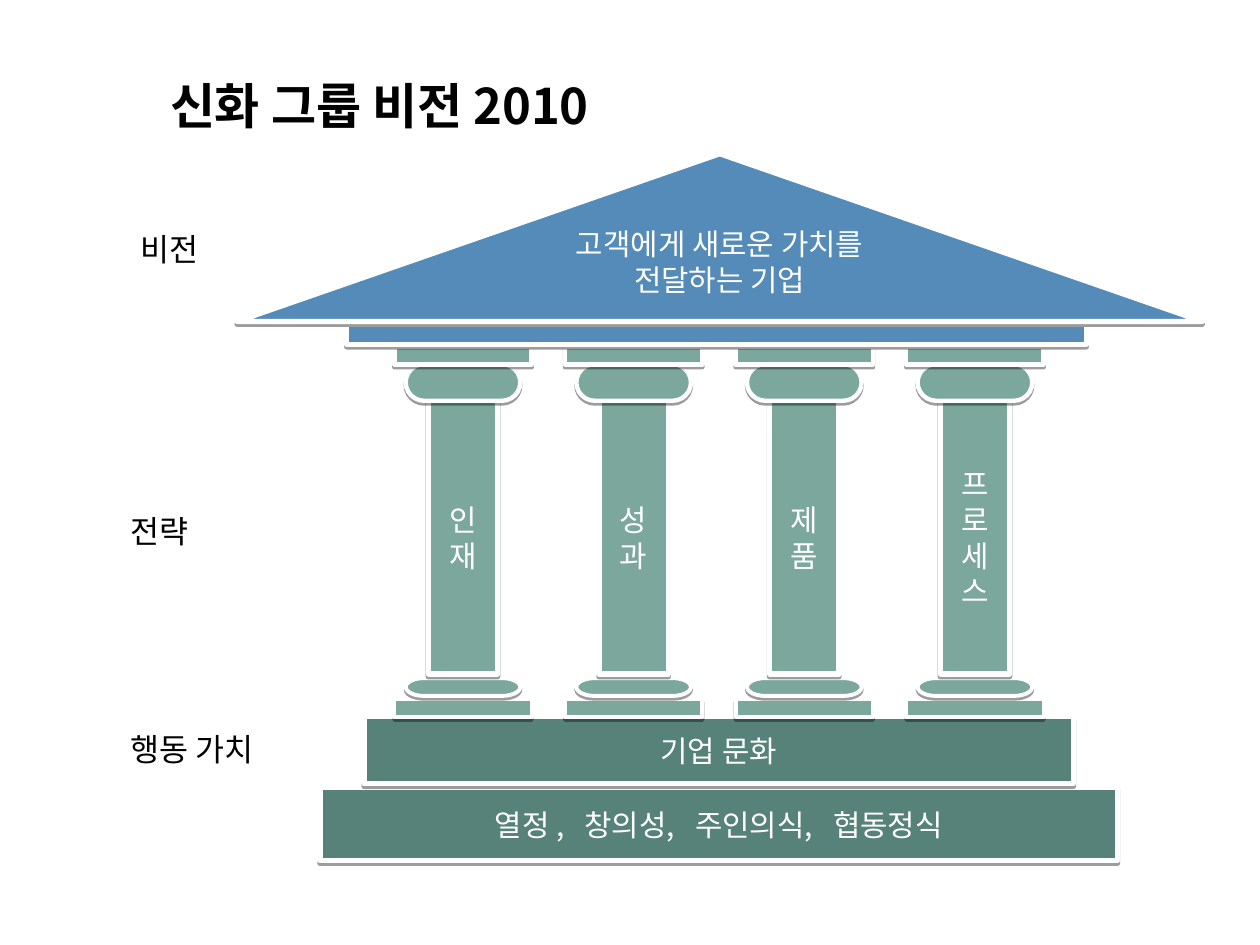
import lxml.etree
import pptx
import pptx.dml.color
import pptx.enum.shapes
import pptx.enum.text
import pptx.oxml.ns
import pptx.util

Cm = pptx.util.Cm
Pt = pptx.util.Pt
qn = pptx.oxml.ns.qn
FORM = pptx.enum.shapes.MSO_SHAPE
ALIGN = pptx.enum.text.PP_ALIGN
ANCHOR = pptx.enum.text.MSO_ANCHOR

THEME = {
    "font": "Noto Sans CJK KR",
    "roof": "558BB8",
    "pillar": "7BA79D",
    "base": "578279",
    "light": "FFFFFF",
    "dark": "000000",
    "title_size": 28,
    "label_size": 18,
    "body_size": 17,
    "shadow_alpha": 38,
    "shadow_drop": 1.6,
    "wide_gap": 7.6,
}

TITLE = ("신화 그룹 비전 2010", (0.6, 1.4, 14.1, 1.45))
LABELS = [
    ("비전", (2.59, 4.52, 6.15, 1.02)),
    ("전략", (2.39, 10.19, 6.15, 1.02)),
    ("행동 가치", (2.39, 14.6, 6.15, 1.02)),
]
VISION = ["고객에게 새로운 가치를", "전달하는 기업"]
STRATEGIES = ["인재", "성과", "제품", "프로세스"]
CULTURE = "기업 문화"
VALUES = ["열정 ,", "창의성,", "주인의식,", "협동정식"]

VALUES_BOX = (6.45, 15.88, 16.08, 1.47)
CULTURE_BOX = (7.34, 14.45, 14.3, 1.35)
BEAM_BOX = (6.99, 6.53, 14.91, 0.41)
ROOF_BOX = (4.78, 3.1, 19.46, 3.38)

PILLAR_LEFT = 7.95
PILLAR_PITCH = 3.44
PILLAR_WIDTH = 2.77
PILLAR_PARTS = [
    (FORM.RECTANGLE, 14.1, 2.77, 0.36, 2.25, False),
    (FORM.FLOWCHART_TERMINATOR, 13.67, 2.31, 0.36, 2.25, False),
    (FORM.RECTANGLE, 8.08, 1.4, 5.51, 3, True),
    (FORM.FLOWCHART_TERMINATOR, 7.34, 2.31, 0.74, 2.5, False),
    (FORM.RECTANGLE, 6.99, 2.77, 0.36, 2.5, False),
]


def color(name):
    return pptx.dml.color.RGBColor.from_string(THEME[name])


def add_run(paragraph, text, size, ink, bold=False, spacing=0):
    run = paragraph.add_run()
    run.text = text
    run.font.name = THEME["font"]
    run.font.size = Pt(THEME[size])
    run.font.bold = bold
    run.font.color.rgb = color(ink)
    properties = run.font._element
    east_asian = lxml.etree.SubElement(properties, qn("a:ea"))
    east_asian.set("typeface", THEME["font"])
    if spacing:
        properties.set("spc", str(round(spacing * 100)))


def add_block(slide, form, box, fill, outline=3):
    block = slide.shapes.add_shape(form, *map(Cm, box))
    block.fill.solid()
    block.fill.fore_color.rgb = color(fill)
    block.line.color.rgb = color("light")
    block.line.width = Pt(outline)
    block.shadow.inherit = False
    effects = block._element.spPr.find(qn("a:effectLst"))
    shadow = lxml.etree.SubElement(
        effects, qn("a:outerShdw"), blurRad="0",
        dist=str(Pt(THEME["shadow_drop"])), dir="5400000",
        algn="ctr", rotWithShape="0")
    tint = lxml.etree.SubElement(shadow, qn("a:srgbClr"), val=THEME["dark"])
    lxml.etree.SubElement(tint, qn("a:alpha"),
                          val=str(THEME["shadow_alpha"] * 1000))
    block.text_frame.word_wrap = True
    block.text_frame.vertical_anchor = ANCHOR.MIDDLE
    block.text_frame.paragraphs[0].alignment = ALIGN.CENTER
    return block


def add_caption(slide, text, box, size, align, bold=False):
    frame = slide.shapes.add_textbox(*map(Cm, box)).text_frame
    frame.word_wrap = True
    frame.auto_size = pptx.enum.text.MSO_AUTO_SIZE.SHAPE_TO_FIT_TEXT
    frame.paragraphs[0].alignment = align
    add_run(frame.paragraphs[0], text, size, "dark", bold)


def add_pillar(slide, index, strategy):
    center = PILLAR_LEFT + index * PILLAR_PITCH + PILLAR_WIDTH / 2
    for form, top, width, height, outline, named in PILLAR_PARTS:
        box = (center - width / 2, top, width, height)
        part = add_block(slide, form, box, "pillar", outline)
        if named:
            add_run(part.text_frame.paragraphs[0], strategy,
                    "body_size", "light")


def add_base(slide):
    values = add_block(slide, FORM.RECTANGLE, VALUES_BOX, "base")
    line = values.text_frame.paragraphs[0]
    for index, value in enumerate(VALUES):
        if index:
            add_run(line, " ", "body_size", "light",
                    spacing=THEME["wide_gap"])
        add_run(line, value, "body_size", "light")
    culture = add_block(slide, FORM.RECTANGLE, CULTURE_BOX, "base")
    add_run(culture.text_frame.paragraphs[0], CULTURE, "body_size", "light")


def add_roof(slide):
    add_block(slide, FORM.RECTANGLE, BEAM_BOX, "roof")
    roof = add_block(slide, FORM.ISOSCELES_TRIANGLE, ROOF_BOX, "roof")
    roof.text_frame.margin_top = 0
    roof.text_frame.margin_bottom = Cm(0.72)
    line = roof.text_frame.paragraphs[0]
    for index, phrase in enumerate(VISION):
        if index:
            line.add_line_break()
        add_run(line, phrase, "body_size", "light")


def main():
    deck = pptx.Presentation()
    deck.slide_width = Cm(25.4)
    deck.slide_height = Cm(19.05)
    slide = deck.slides.add_slide(deck.slide_layouts[6])
    add_base(slide)
    for index, strategy in enumerate(STRATEGIES):
        add_pillar(slide, index, strategy)
    add_roof(slide)
    for text, box in LABELS:
        add_caption(slide, text, box, "label_size", ALIGN.LEFT)
    add_caption(slide, *TITLE, "title_size", ALIGN.CENTER, bold=True)
    deck.save("out.pptx")


if __name__ == "__main__":
    main()
